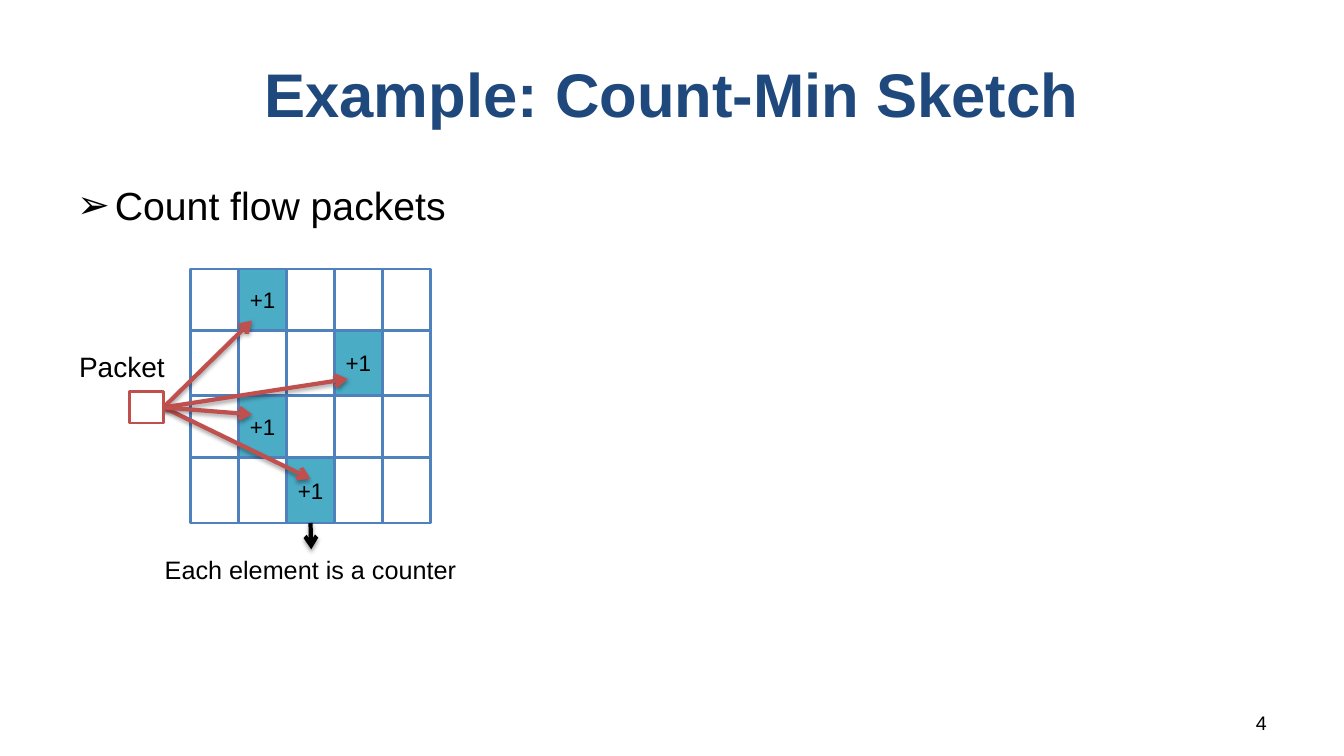
from itertools import pairwise

from lxml.etree import SubElement
from pptx import Presentation
from pptx.dml.color import RGBColor
from pptx.enum.shapes import MSO_CONNECTOR as LINK, MSO_SHAPE as SHAPE
from pptx.enum.text import MSO_ANCHOR as ANCHOR, PP_ALIGN as ALIGN
from pptx.oxml.ns import qn
from pptx.util import Pt

NAVY = RGBColor(0x1F, 0x49, 0x7D)
BLUE = RGBColor(0x4F, 0x81, 0xBD)
TEAL = RGBColor(0x4B, 0xAC, 0xC6)
RED = RGBColor(0xC0, 0x50, 0x4D)
BLACK = RGBColor(0, 0, 0)
WHITE = RGBColor(255, 255, 255)


class Board:
    """Style and current slide; all lengths are points."""

    font = "Arial"

    def __init__(self, slide):
        self.slide = slide
        self.shapes = slide.shapes

    def fill_text(self, frame, text, size, color=BLACK, align=ALIGN.CENTER,
                  bold=False):
        frame.text = text
        para = frame.paragraphs[0]
        para.alignment = align
        for run in para.runs:
            font = run.font
            font.name, font.size, font.bold = self.font, Pt(size), bold
            font.color.rgb = color
        return para

    def label(self, box, text, size, anchor=ANCHOR.TOP, **style):
        frame = self.shapes.add_textbox(*map(Pt, box)).text_frame
        frame.word_wrap = True
        frame.vertical_anchor = anchor
        return self.fill_text(frame, text, size, **style)

    def bullet(self, box, text, size, mark, indent):
        para = self.label(box, text, size, align=ALIGN.LEFT)
        props = para._p.get_or_add_pPr()
        props.set("marL", str(Pt(indent)))
        props.set("indent", str(-Pt(indent)))
        SubElement(props, qn("a:buFont"), typeface=self.font)
        SubElement(props, qn("a:buChar"), char=mark)

    def cell(self, box, fill, edge, text=""):
        rect = self.shapes.add_shape(SHAPE.RECTANGLE, *map(Pt, box))
        rect.shadow.inherit = False
        rect.fill.solid()
        rect.fill.fore_color.rgb = fill
        rect.line.color.rgb = edge
        rect.line.width = Pt(2)
        if text:
            frame = rect.text_frame
            frame.margin_left = frame.margin_right = 0
            frame.vertical_anchor = ANCHOR.MIDDLE
            self.fill_text(frame, text, 16)

    def arrow(self, start, end, color, alpha):
        link = self.shapes.add_connector(
            LINK.STRAIGHT, *map(Pt, start), *map(Pt, end))
        link.line.color.rgb = color
        link.line.width = Pt(3)
        SubElement(link.line._get_or_add_ln(), qn("a:tailEnd"), type="arrow")
        # Soft shadow straight below
        effects = SubElement(link._element.spPr, qn("a:effectLst"))
        shade = SubElement(effects, qn("a:outerShdw"), blurRad=str(Pt(3.1)),
                           dist=str(Pt(1.7)), dir="5400000", rotWithShape="0")
        tint = SubElement(shade, qn("a:srgbClr"), val=str(BLACK))
        SubElement(tint, qn("a:alpha"), val=str(alpha * 1000))


def main():
    deck = Presentation()
    deck.slide_width, deck.slide_height = Pt(960), Pt(540)
    board = Board(deck.slides.add_slide(deck.slide_layouts[6]))

    # Heading, bullet and page number
    board.label((48, 21.6, 864, 90), "Example: Count-Min Sketch", 44,
                anchor=ANCHOR.MIDDLE, color=NAVY, bold=True)
    board.bullet((48, 126, 864, 39), "Count flow packets", 28, "➢", 27)
    board.label((688, 504, 224, 25), "4", 14,
                anchor=ANCHOR.MIDDLE, align=ALIGN.RIGHT)

    # Counter grid: one hit column per row
    left, wide = 136.3, 34.2
    tops = (192.2, 236.2, 282.3, 327, 373.6)
    hits = (1, 3, 1, 2)
    for (top, base), hit in zip(pairwise(tops), hits):
        for col in range(5):
            box = (left + col * wide, top, wide, base - top)
            if col == hit:
                board.cell(box, TEAL, BLUE, "+1")
            else:
                board.cell(box, WHITE, BLUE)

    # Packet and its arrows to the hit counters
    port = (116.8, 291)
    for tip in ((180, 229), (248.4, 270.7), (221.8, 342), (180, 296)):
        board.arrow(port, tip, RED, 35)
    board.cell((92.6, 279.6, 24.2, 22.6), WHITE, RED)
    board.label((43.2, 246.2, 87.8, 31.5), "Packet", 20)

    # Caption below the grid
    board.label((101.5, 392.4, 240.5, 29), "Each element is a counter", 18)
    board.arrow((221.8, tops[-1]), (222.3, 392.4), BLACK, 38)

    deck.save("out.pptx")


if __name__ == "__main__":
    main()
